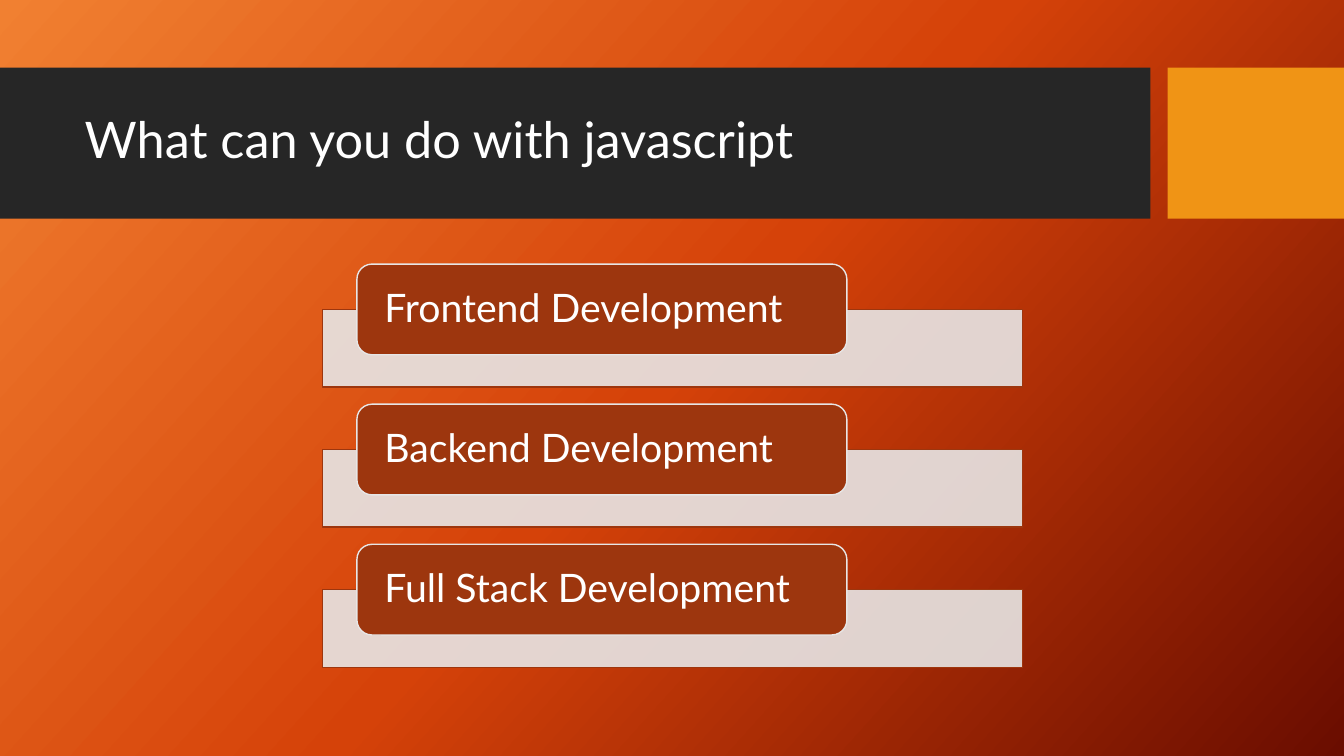
from copy import deepcopy

from lxml import etree
from pptx import Presentation
from pptx.dml.color import RGBColor
from pptx.enum.shapes import MSO_SHAPE
from pptx.enum.text import MSO_ANCHOR, PP_ALIGN
from pptx.oxml.ns import qn
from pptx.util import Inches, Pt

RECTANGLE, ROUNDED = MSO_SHAPE.RECTANGLE, MSO_SHAPE.ROUNDED_RECTANGLE
MIDDLE, LEFT = MSO_ANCHOR.MIDDLE, PP_ALIGN.LEFT

COLORS = {
    "glow": "F18031", "flame": "D54209", "ember": "6A0D00",
    "banner": "262626", "accent": "F09415",
    "strip": "E7E6E6", "label": "9D360E", "text": "FFFFFF",
}
FONT = "Lato"
WIDTH, HEIGHT = 13.33, 7.5
BANNER_TOP, BANNER_HEIGHT = 0.67, 1.5
ACCENT_LEFT = 11.58
FIRST_TOP, PITCH = 2.62, 1.39
STRIP_DROP = 0.45
AREAS = ["Frontend Development", "Backend Development", "Full Stack Development"]


def add_block(kind, left, top, width, height, fill, line=None):
    block = slide.shapes.add_shape(
        kind, Inches(left), Inches(top), Inches(width), Inches(height))
    block.shadow.inherit = False
    block.fill.solid()
    block.fill.fore_color.rgb = RGBColor.from_string(COLORS[fill])
    if line:
        block.line.color.rgb = RGBColor.from_string(COLORS[line])
        block.line.width = Pt(1)
    else:
        block.line.fill.background()
    return block


def set_text(frame, text, size):
    frame.text = text
    frame.word_wrap = True
    frame.vertical_anchor = MIDDLE
    paragraph = frame.paragraphs[0]
    paragraph.alignment = LEFT
    paragraph.line_spacing = 0.9
    paragraph.font.name = FONT
    paragraph.font.size = Pt(size)
    paragraph.font.color.rgb = RGBColor.from_string(COLORS["text"])


prs = Presentation()
prs.slide_width, prs.slide_height = Inches(WIDTH), Inches(HEIGHT)
slide = prs.slides.add_slide(prs.slide_layouts[5])

# Three-stop diagonal background
background = slide.background.fill
background.gradient()
background.gradient_angle = 360 - 42
stop_list = slide.element.find(".//" + qn("a:gsLst"))
stop_list.insert(1, deepcopy(stop_list[0]))
for stop, position, name in zip(background.gradient_stops, (0, 0.5, 1),
                                ("glow", "flame", "ember")):
    stop.position = position
    stop.color.rgb = RGBColor.from_string(COLORS[name])

# Title banner
add_block(RECTANGLE, 0, BANNER_TOP, 11.41, BANNER_HEIGHT, "banner")
add_block(RECTANGLE, ACCENT_LEFT, BANNER_TOP, WIDTH - ACCENT_LEFT, BANNER_HEIGHT, "accent")
title = slide.shapes.title
title.left, title.top = Inches(0.74), Inches(0.82)
title.width, title.height = Inches(10.51), Inches(1.18)
set_text(title.text_frame, "What can you do with javascript", 36)
title.element.getparent().append(title.element)  # bring in front of the banner

# Development areas
for row, area in enumerate(AREAS):
    top = FIRST_TOP + row * PITCH
    strip = add_block(RECTANGLE, 3.2, top + STRIP_DROP, 6.94, 0.77, "strip", "label")
    strip_color = strip.element.spPr.find(qn("a:solidFill"))[0]
    etree.SubElement(strip_color, qn("a:alpha"), val="90000")

    label = add_block(ROUNDED, 3.54, top, 4.86, 0.9, "label", "strip")
    frame = label.text_frame
    set_text(frame, area, 28)
    frame.margin_left = frame.margin_right = Inches(0.23)
    frame.margin_top = frame.margin_bottom = 0

prs.save("out.pptx")
